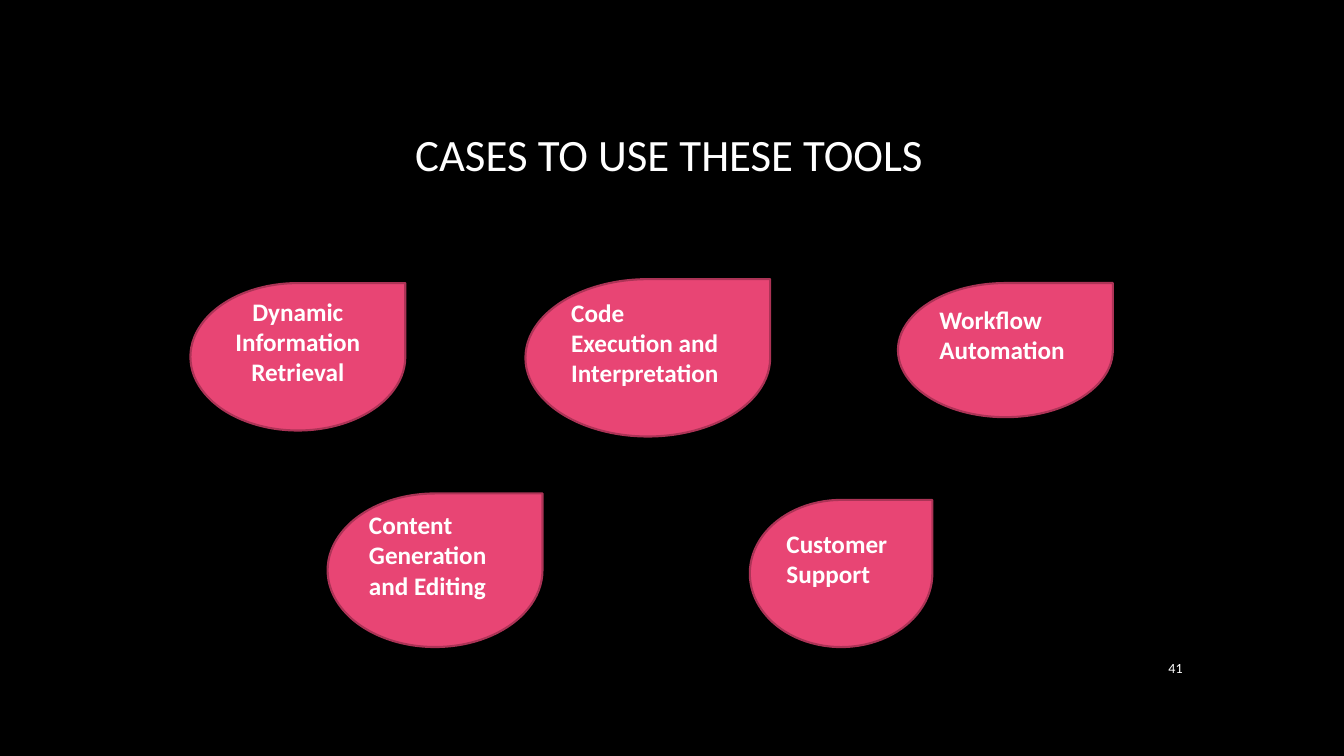
from pptx import Presentation
from pptx.dml.color import RGBColor
from pptx.enum.shapes import MSO_SHAPE
from pptx.enum.text import MSO_ANCHOR, PP_ALIGN
from pptx.util import Pt

DROP = MSO_SHAPE.TEAR
TOP, MIDDLE = MSO_ANCHOR.TOP, MSO_ANCHOR.MIDDLE
LEFT, CENTER, RIGHT = PP_ALIGN.LEFT, PP_ALIGN.CENTER, PP_ALIGN.RIGHT
COLORS = {"back": "000000", "text": "FFFFFF", "drop": "E84574", "edge": "AC3356"}

# Text, left, top, width, height, alignment
CASES = [
    ("Dynamic Information Retrieval", 136, 202.2, 153.5, 105.3, CENTER),
    ("Code Execution and Interpretation", 375.3, 199.4, 174.8, 112.4, LEFT),
    ("Workflow Automation", 641.4, 202.2, 153.5, 95.8, LEFT),
    ("Customer Support", 535.6, 357.1, 130.4, 105.1, LEFT),
    ("Content Generation and Editing", 234, 352.5, 153.5, 109.7, LEFT),
]


def color(name):
    return RGBColor.from_string(COLORS[name])


def write(shape, text, size=18, bold=False, align=LEFT, anchor=MIDDLE, bottom=3.6):
    frame = shape.text_frame
    frame.word_wrap = True
    frame.vertical_anchor = anchor
    frame.margin_bottom = Pt(bottom)
    para = frame.paragraphs[0]
    para.alignment = align
    run = para.add_run()
    run.text = text
    font = run.font
    font.name, font.size, font.bold = "Calibri", Pt(size), bold
    font.color.rgb = color("text")


def add_title(slide, text, left, top, width, height):
    title = slide.shapes.title
    title.left, title.top = Pt(left), Pt(top)
    title.width, title.height = Pt(width), Pt(height)
    write(title, text, size=32, anchor=TOP)


def add_drop(slide, text, left, top, width, height, align):
    drop = slide.shapes.add_shape(DROP, Pt(left), Pt(top), Pt(width), Pt(height))
    drop.shadow.inherit = False
    drop.fill.solid()
    drop.fill.fore_color.rgb = color("drop")
    drop.line.color.rgb = color("edge")
    drop.line.width = Pt(1.5)
    # The deep bottom inset lifts the text by half a line
    write(drop, text, bold=True, align=align, bottom=25.6)


def add_number(slide, text, left, top, width, height):
    box = slide.shapes.add_textbox(Pt(left), Pt(top), Pt(width), Pt(height))
    write(box, text, size=10, align=RIGHT)


def main():
    deck = Presentation()
    deck.slide_width, deck.slide_height = Pt(960), Pt(540)
    slide = deck.slides.add_slide(deck.slide_layouts[5])
    slide.background.fill.solid()
    slide.background.fill.fore_color.rgb = color("back")

    # Heading
    add_title(slide, "CASES TO USE THESE TOOLS", 289.4, 87.1, 383.8, 46)

    # Use cases
    for case in CASES:
        add_drop(slide, *case)

    # Page number
    add_number(slide, "41", 808.6, 462.2, 43.2, 29.5)

    deck.save("out.pptx")


if __name__ == "__main__":
    main()
